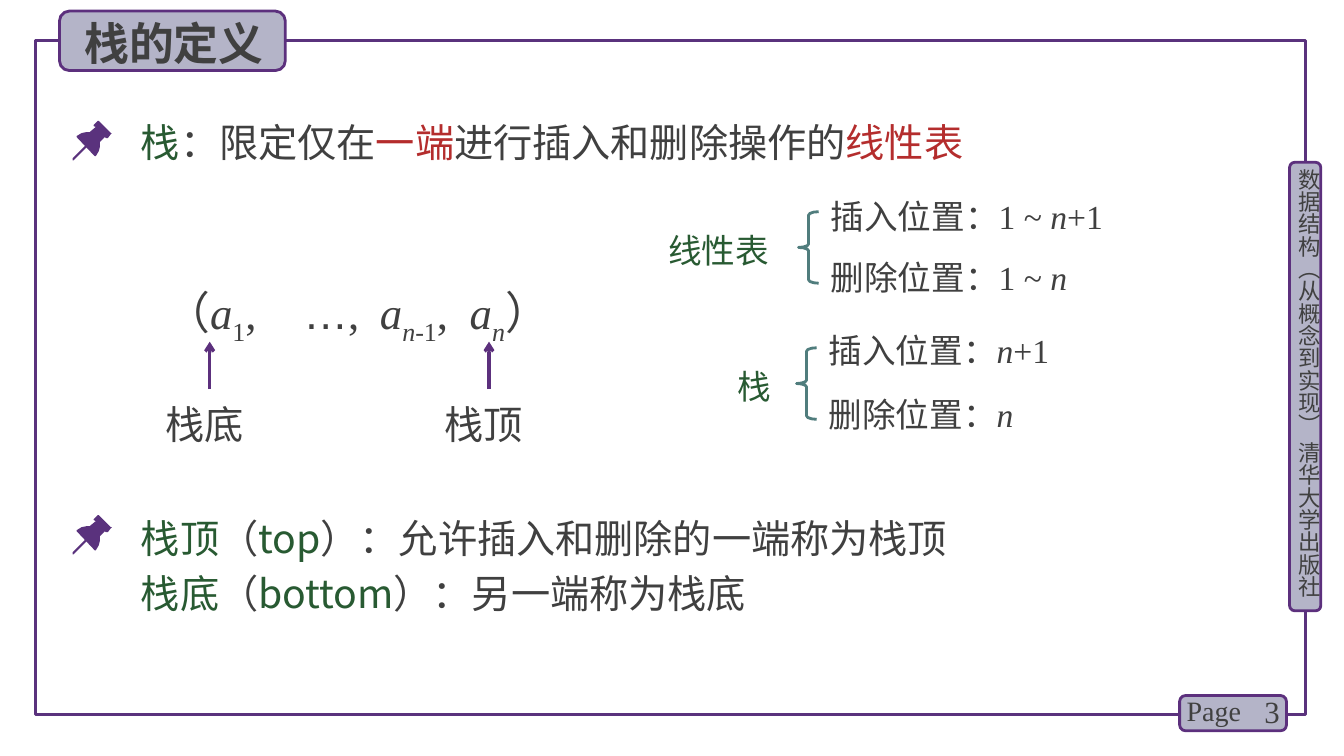
from pptx import Presentation
from pptx.dml.color import RGBColor
from pptx.enum.shapes import MSO_CONNECTOR, MSO_SHAPE
from pptx.enum.text import MSO_ANCHOR, PP_ALIGN
from pptx.oxml.ns import qn
from pptx.util import Inches, Pt
from lxml import etree

RECT, ROUND, BRACE = MSO_SHAPE.RECTANGLE, MSO_SHAPE.ROUNDED_RECTANGLE, MSO_SHAPE.LEFT_BRACE
STRAIGHT = MSO_CONNECTOR.STRAIGHT
TOP, MIDDLE = MSO_ANCHOR.TOP, MSO_ANCHOR.MIDDLE
LEFT, CENTER, RIGHT = PP_ALIGN.LEFT, PP_ALIGN.CENTER, PP_ALIGN.RIGHT

INK = RGBColor(0x40, 0x40, 0x40)
GREEN = RGBColor(0x28, 0x5A, 0x32)
RED = RGBColor(0xB4, 0x2D, 0x2D)
PURPLE = RGBColor(0x5A, 0x32, 0x7D)
EDGE = RGBColor(0x5C, 0x30, 0x7D)
LILAC = RGBColor(0xB4, 0xB4, 0xC8)
TEAL = RGBColor(0x50, 0x7D, 0x7D)
SANS, SERIF = "Noto Sans CJK SC", "Times New Roman"

# Content: runs are (text, marks): g green, r red, i italic, s subscript, A Arial
TITLE = "栈的定义"
BOOK = "数据结构（从概念到实现） 清华大学出版社"
STACK = [[("栈", "g"), ("：限定仅在", ""), ("一端", "r"),
          ("进行插入和删除操作的", ""), ("线性表", "r")]]
ENDS = [[("栈顶", "g"), ("（", ""), ("top", "g"), ("）：允许插入和删除的一端称为栈顶", "")],
        [("栈底", "g"), ("（", ""), ("bottom", "g"), ("）：另一端称为栈底", "")]]
SERIES = [[("（", ""), ("a", "i"), ("1", "s"), (",\t", ""), ("…", "A"), (",\t", ""),
           ("a", "i"), ("n", "is"), ("-1", "s"), (",\t", ""),
           ("a", "i"), ("n", "is"), ("）", "")]]
STOPS = [1.37, 2.13, 3.02]
POINTS = [("栈底", 2.08), ("栈顶", 4.85)]
# name, name left, brace left, brace top, rows of (top, runs)
GROUPS = [
    ("线性表", 6.53, 7.92, 2.1, [
        (1.89, [("插入位置：1 ~ ", ""), ("n", "i"), ("+1", "")]),
        (2.5, [("删除位置：1 ~ ", ""), ("n", "i")])]),
    ("栈", 7.22, 7.9, 3.45, [
        (3.22, [("插入位置：", ""), ("n", "i"), ("+1", "")]),
        (3.86, [("删除位置：", ""), ("n", "i")])]),
]
PINS = [1.2, 5.11]
# Pin outlines in inches from the pin's top left corner
HEAD = [(0.39, 0.12), (0.27, 0), (0.26, 0), (0.22, 0.04), (0.22, 0.05), (0.24, 0.06),
        (0.18, 0.11), (0.15, 0.11), (0.1, 0.12), (0.05, 0.15), (0.05, 0.16),
        (0.23, 0.35), (0.24, 0.35), (0.27, 0.3), (0.28, 0.26), (0.28, 0.21),
        (0.33, 0.16), (0.34, 0.17), (0.36, 0.17), (0.39, 0.13), (0.4, 0.12)]
NEEDLE = [(0.02, 0.39), (0.01, 0.39), (0.01, 0.37), (0.14, 0.24),
          (0.15, 0.24), (0.15, 0.26)]

deck = Presentation()
deck.slide_width, deck.slide_height = Inches(13.33), Inches(7.5)
slide = deck.slides.add_slide(deck.slide_layouts[5])
shapes = slide.shapes


def paint(shape, fill, line=None, width=2):
    shape.shadow.inherit = False
    if fill is None:
        shape.fill.background()
    else:
        shape.fill.solid()
        shape.fill.fore_color.rgb = fill
    if line is None:
        shape.line.fill.background()
    else:
        shape.line.color.rgb = line
        shape.line.width = Pt(width)


def draw(kind, box, fill, line, width=2):
    shape = shapes.add_shape(kind, *map(Inches, box))
    paint(shape, fill, line, width)
    return shape


def style(run, size, font, marks=""):
    face = run.font
    face.size = Pt(size)
    face.name = "Arial" if "A" in marks else font
    face.italic = "i" in marks
    face.color.rgb = GREEN if "g" in marks else RED if "r" in marks else INK
    props = run._r.get_or_add_rPr()
    if "s" in marks:
        props.set("baseline", "-25000")
    if font == SANS:
        east = etree.SubElement(props, qn("a:ea"))
        east.set("typeface", font)


def write(box, paras, size, font=SERIF, align=LEFT, anchor=TOP, stops=()):
    text = shapes.add_textbox(*map(Inches, box))
    frame = text.text_frame
    frame.word_wrap = True
    frame.vertical_anchor = anchor
    for i, runs in enumerate(paras):
        para = frame.add_paragraph() if i else frame.paragraphs[0]
        para.alignment = align
        if font == SANS and size > 20:
            para.line_spacing = Pt(round(size * 1.29))
        if i:
            para.space_before = Pt(3.3)
        if stops:
            tabs = etree.SubElement(para._p.get_or_add_pPr(), qn("a:tabLst"))
            for stop in stops:
                tab = etree.SubElement(tabs, qn("a:tab"))
                tab.set("pos", str(Inches(stop)))
                tab.set("algn", "l")
        for words, marks in runs:
            run = para.add_run()
            run.text = words
            style(run, size, font, marks)
    return frame


# Frame, side strip and page number
draw(RECT, (0.35, 0.4, 12.6, 6.69), None, PURPLE, 2.25)
draw(ROUND, (12.79, 1.61, 0.31, 4.45), LILAC, EDGE)
side = write((12.85, 1.67, 0.27, 4.49), [[(BOOK, "")]], 16, SANS)
side.margin_left = side.margin_right = side.margin_top = side.margin_bottom = 0
side._txBody.bodyPr.set("vert", "eaVert")
draw(ROUND, (11.7, 6.9, 1.06, 0.35), LILAC, EDGE)
write((12.2, 6.86, 0.59, 0.4), [[("3", "")]], 22, align=RIGHT, anchor=MIDDLE)
write((11.67, 6.83, 0.78, 0.44), [[("Page", "")]], 20)

# Title on its badge
draw(ROUND, (0.59, 0.11, 2.24, 0.59), LILAC, EDGE)
title = shapes.title
title.element.getparent().append(title.element)
title.left, title.top, title.width, title.height = map(Inches, (0.7, 0.07, 2.05, 0.64))
title.text_frame.text = TITLE
title.text_frame.vertical_anchor = TOP
para = title.text_frame.paragraphs[0]
para.alignment = CENTER
para.line_spacing = Pt(41)
style(para.runs[0], 32, SANS)
para.runs[0].font.bold = True

# Definitions with pins
write((1.3, 1.09, 10.01, 0.57), STACK, 28, SANS)
write((1.3, 5.02, 11.3, 1.14), ENDS, 28, SANS)
for top in PINS:
    for outline in (HEAD, NEEDLE):
        spots = [(Inches(0.71 + x), Inches(top + y)) for x, y in outline]
        form = shapes.build_freeform(*spots[0])
        form.add_line_segments(spots[1:])
        paint(form.convert_to_shape(), PURPLE)

# Series with arrows to both ends
write((1.54, 2.78, 4.13, 0.64), SERIES, 32, stops=STOPS)
for name, x in POINTS:
    arrow = shapes.add_connector(STRAIGHT, *map(Inches, (x, 3.86, x, 3.39)))
    arrow.line.color.rgb = EDGE
    arrow.line.width = Pt(2.25)
    etree.SubElement(arrow.line._get_or_add_ln(), qn("a:tailEnd")).set("type", "arrow")
    etree.SubElement(arrow._element.spPr, qn("a:effectLst"))
    write((x - 0.54, 3.92, 1.08, 0.57), [[(name, "")]], 28)

# Allowed positions
for name, left, x, top, rows in GROUPS:
    write((left, top + 0.13, 1.42, 0.5), [[(name, "g")]], 24)
    brace = draw(BRACE, (x, top, 0.2, 0.71), None, TEAL)
    brace.adjustments[0] = 0.17
    for y, runs in rows:
        write((x + 0.22, y, 3.56, 0.5), [runs], 24)

deck.save("out.pptx")
